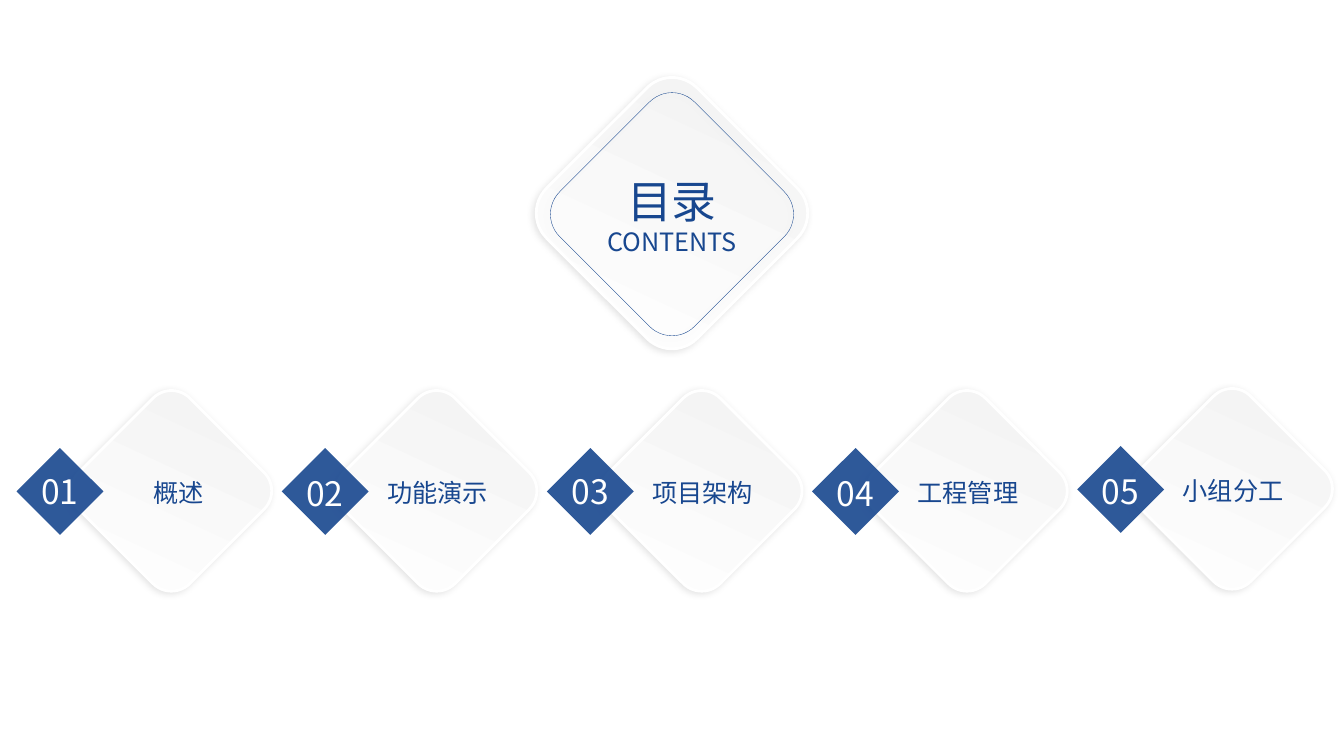
from dataclasses import dataclass

from lxml import etree
from pptx import Presentation
from pptx.dml.color import RGBColor
from pptx.enum.shapes import MSO_SHAPE
from pptx.enum.text import MSO_ANCHOR, MSO_AUTO_SIZE, PP_ALIGN
from pptx.oxml.ns import qn
from pptx.util import Inches, Pt

ROUNDED, SQUARE = MSO_SHAPE.ROUNDED_RECTANGLE, MSO_SHAPE.RECTANGLE
TOP, FIT = MSO_ANCHOR.TOP, MSO_AUTO_SIZE.SHAPE_TO_FIT_TEXT
LEFT, CENTER = PP_ALIGN.LEFT, PP_ALIGN.CENTER


@dataclass(frozen=True)
class Theme:
    font: str = "Noto Sans CJK SC"
    blue: str = "18478F"
    white: str = "FFFFFF"
    grey: str = "F2F2F2"
    title: int = 32
    number: int = 24
    label: int = 18


T = Theme()
PITCH = 2.63

# Number, label, shift of the label, top of the number, top of the card
SECTIONS = [
    ("01", "概述", 0.06, 4.62, 4.09),
    ("02", "功能演示", 0, 4.64, 4.09),
    ("03", "项目架构", 0, 4.62, 4.09),
    ("04", "工程管理", 0, 4.64, 4.09),
    ("05", "小组分工", 0, 4.62, 4.07),
]


def rgb(color):
    return RGBColor.from_string(color)


def add_alpha(color_element, percent):
    etree.SubElement(color_element, qn("a:alpha"), val=str(percent * 1000))


def add_shadow(sp):
    """Soft shadow that falls slightly to the lower left."""
    sp.shadow.inherit = False
    effects = sp._element.spPr.find(qn("a:effectLst"))
    shadow = etree.SubElement(
        effects, qn("a:outerShdw"), blurRad=str(Pt(5)), dist=str(Pt(2)),
        dir=str(150 * 60000), algn="ctr", rotWithShape="0")
    add_alpha(etree.SubElement(shadow, qn("a:srgbClr"), val="000000"), 11)


def add_diamond(s, kind, left, top, size, rotation=45):
    sp = s.shapes.add_shape(kind, Inches(left), Inches(top),
                            Inches(size), Inches(size))
    sp.rotation = rotation
    sp.shadow.inherit = False
    return sp


def add_card(s, left, top, size):
    sp = add_diamond(s, ROUNDED, left, top, size)
    sp.fill.gradient()
    sp.fill.gradient_angle = 110
    for stop, color in zip(sp.fill.gradient_stops, (T.white, T.grey)):
        stop.color.rgb = rgb(color)
    sp.line.color.rgb = rgb(T.white)
    sp.line.width = Pt(2)
    add_shadow(sp)


def add_ring(s, left, top, size):
    sp = add_diamond(s, ROUNDED, left, top, size)
    sp.fill.background()
    sp.line.color.rgb = rgb(T.blue)
    sp.line.width = Pt(0.25)
    add_shadow(sp)


def add_badge(s, left, top, size):
    sp = add_diamond(s, SQUARE, left, top, size, rotation=225)
    sp.fill.solid()
    sp.fill.fore_color.rgb = rgb(T.blue)
    add_alpha(sp._element.spPr.find(qn("a:solidFill"))[0], 90)
    sp.line.fill.background()


def write(sp, text, *, size, color=T.blue, align=CENTER, wrap=True):
    tf = sp.text_frame
    tf.word_wrap = wrap
    tf.auto_size = FIT
    tf.vertical_anchor = TOP
    p = tf.paragraphs[0]
    p.alignment = align
    r = p.add_run()
    r.text = text
    r.font.name = T.font
    r.font.size = Pt(size)
    r.font.color.rgb = rgb(color)
    etree.SubElement(r.font._element, qn("a:ea"), typeface=T.font)


def add_text(s, text, left, top, width, height, **style):
    sp = s.shapes.add_textbox(Inches(left), Inches(top),
                              Inches(width), Inches(height))
    write(sp, text, **style)


def add_heading(s):
    add_card(s, 5.61, 1.06, 2.11)
    add_ring(s, 5.72, 1.18, 1.89)
    title = s.shapes.title
    title.left, title.top = Inches(5.41), Inches(1.67)
    title.width, title.height = Inches(2.51), Inches(0.64)
    write(title, "目录", size=T.title)
    # Bring the title in front of its card
    s.shapes._spTree.append(title._element)
    add_text(s, "CONTENTS", 5.41, 2.2, 2.51, 0.4, size=T.label)


def add_section(s, index, number, label, shift, number_top, top):
    x = index * PITCH
    add_card(s, x + 0.92, top, 1.56)
    add_badge(s, x + 0.29, top + 0.48, 0.61)
    add_text(s, label, x + 0.89 + shift, top + 0.6, 1.64, 0.4, size=T.label)
    add_text(s, number, x + 0.31, number_top, 0.6, 0.5, size=T.number,
             color=T.white, align=LEFT, wrap=False)


def main():
    prs = Presentation()
    prs.slide_width, prs.slide_height = Inches(13.33), Inches(7.5)
    s = prs.slides.add_slide(prs.slide_layouts[5])
    add_heading(s)
    for index, section in enumerate(SECTIONS):
        add_section(s, index, *section)
    prs.save("out.pptx")


main()
